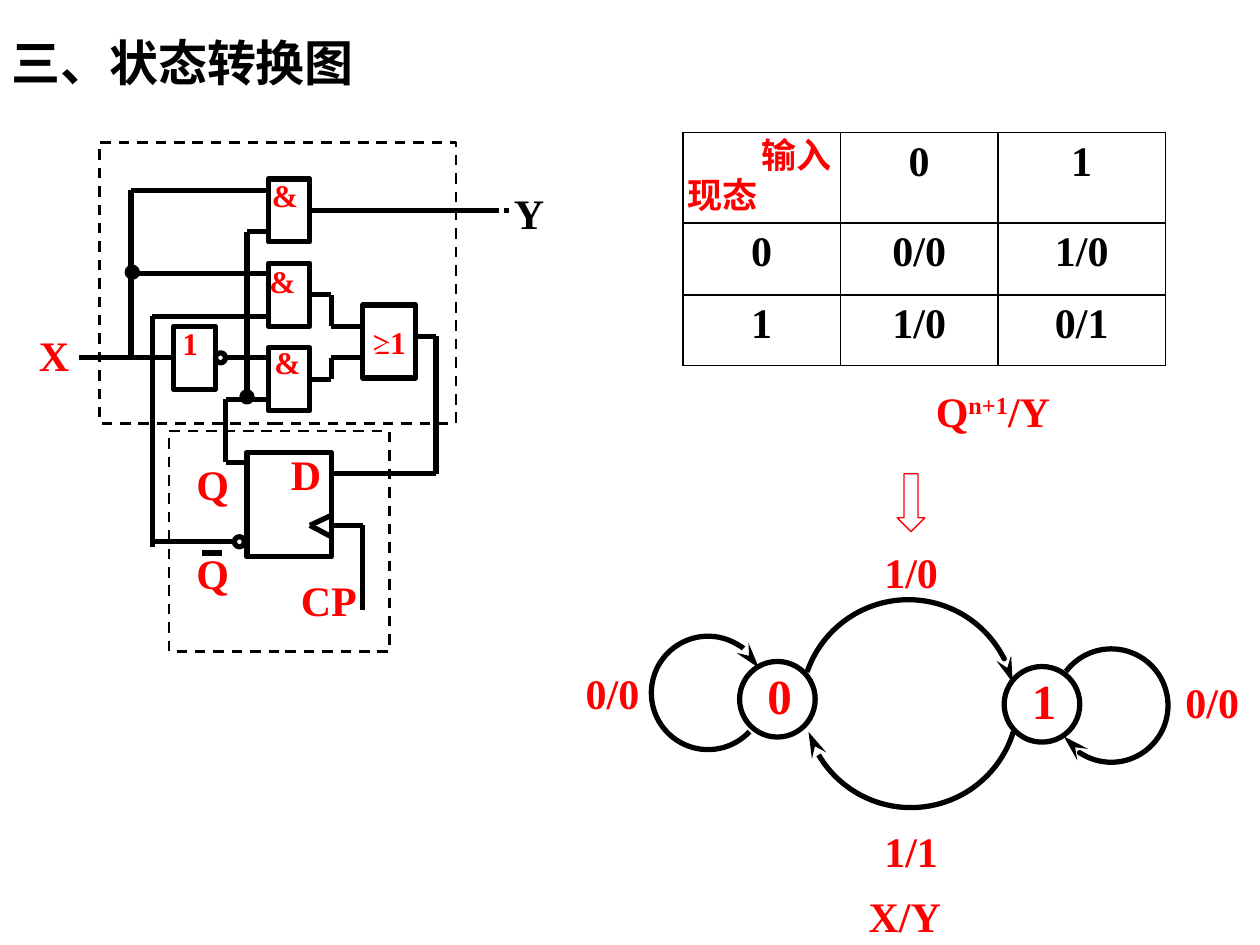
import pptx
import pptx.dml.color
import pptx.enum.dml
import pptx.enum.shapes
import pptx.enum.text
import pptx.oxml
import pptx.oxml.ns
import pptx.util
from pptx.util import Inches

RED, BLACK, WHITE = "FF0000", "000000", "FFFFFF"
SHAPE = pptx.enum.shapes.MSO_SHAPE
ALIGN = pptx.enum.text.PP_ALIGN
MIDDLE = pptx.enum.text.MSO_ANCHOR.MIDDLE
NS = pptx.oxml.ns.nsdecls("a")
rgb = pptx.dml.color.RGBColor.from_string


def draw(s, color=BLACK, width=3, fill=None):
    """Outline a shape, with a plain fill or none, and no shadow."""
    s.shadow.inherit = False
    s.line.color.rgb = rgb(color)
    s.line.width = pptx.util.Pt(width)
    if fill:
        s.fill.solid()
        s.fill.fore_color.rgb = rgb(fill)
    else:
        s.fill.background()
    return s


def write(tf, text, size=24, color=RED, align=ALIGN.LEFT, font="Times New Roman"):
    """Put one bold paragraph in a text frame."""
    tf.word_wrap = True
    p = tf.paragraphs[0]
    p.text = text
    p.alignment = align
    p.font.name = font
    p.font.size = pptx.util.Pt(size)
    p.font.bold = True
    p.font.color.rgb = rgb(color)
    return p


prs = pptx.Presentation()
prs.slide_width, prs.slide_height = Inches(10), Inches(7.5)
slide = prs.slides.add_slide(prs.slide_layouts[5])
shapes = slide.shapes

# Title
title = shapes.title
title.left, title.top, title.width, title.height = map(Inches, (-0.01, 0.2, 8.34, 0.58))
title.text_frame.vertical_anchor = MIDDLE
write(title.text_frame, "三、状态转换图", 28, BLACK, font="Noto Sans CJK SC")

# Dashed frames around the combinational and the storage part
for box in ((0.79, 1.13, 2.83, 2.23), (1.34, 3.42, 1.75, 1.75)):
    s = draw(shapes.add_shape(SHAPE.RECTANGLE, *map(Inches, box)), width=1.5)
    s.line.dash_style = pptx.enum.dml.MSO_LINE.DASH

# Gates and flip-flop
gates = {}
for name, box in {
    "and1": (2.13, 1.42, 0.33, 0.5),
    "and2": (2.13, 2.09, 0.33, 0.5),
    "and3": (2.13, 2.76, 0.33, 0.5),
    "not": (1.38, 2.59, 0.33, 0.5),
    "or": (2.88, 2.42, 0.42, 0.58),
    "flipflop": (1.96, 3.59, 0.67, 0.83),
}.items():
    gates[name] = draw(shapes.add_shape(SHAPE.RECTANGLE, *map(Inches, box)))
tf = gates["or"].text_frame
tf.margin_left = tf.margin_right = 0
tf.vertical_anchor = MIDDLE
write(tf, "≥1", 18, align=ALIGN.CENTER)

# Wires: x1, y1, x2, y2
wires = [
    # input X and its branches
    (0.63, 2.84, 1.38, 2.84), (1.04, 1.51, 1.04, 2.84),
    (1.04, 1.51, 2.13, 1.51), (1.04, 2.17, 2.13, 2.17),
    (1.79, 2.84, 2.13, 2.84),
    # feedback from Q
    (1.79, 3.67, 1.96, 3.67), (1.79, 3.17, 1.79, 3.67), (1.79, 3.17, 2.13, 3.17),
    (1.96, 1.84, 1.96, 3.17), (1.96, 1.84, 2.13, 1.84),
    # feedback from inverted Q, and its overbar
    (1.21, 4.3, 1.88, 4.3), (1.21, 2.51, 1.21, 4.34), (1.21, 2.51, 2.13, 2.51),
    (1.6, 4.39, 1.76, 4.39),
    # AND outputs
    (2.46, 1.67, 4.04, 1.67),
    (2.46, 2.34, 2.63, 2.34), (2.63, 2.34, 2.63, 2.59),
    (2.63, 2.59, 2.79, 2.59), (2.71, 2.59, 2.88, 2.59),
    (2.46, 3.01, 2.63, 3.01), (2.63, 2.84, 2.63, 3.01), (2.63, 2.84, 2.88, 2.84),
    # OR output to D
    (3.29, 2.67, 3.46, 2.67), (3.46, 2.67, 3.46, 3.76), (2.63, 3.76, 3.46, 3.76),
    # clock and its wedge
    (2.63, 4.17, 2.88, 4.17), (2.88, 4.17, 2.88, 4.84),
    (2.63, 4.09, 2.46, 4.17), (2.46, 4.17, 2.63, 4.26),
]
# White stroke across the OR sign
sign_stroke = (3.08, 2.73, 2.95, 2.81)
outputs = {(2.46, 1.67): "and1", (2.46, 2.34): "and2", (2.46, 3.01): "and3"}
for wire in wires + [sign_stroke]:
    c = shapes.add_connector(
        pptx.enum.shapes.MSO_CONNECTOR.STRAIGHT, *map(Inches, wire))
    c.line.color.rgb = rgb(WHITE if wire == sign_stroke else BLACK)
    c.line.width = pptx.util.Pt(1.5 if wire == sign_stroke else 3)
    c._element.spPr.append(pptx.oxml.parse_xml(f"<a:effectLst {NS}/>"))
    if wire[:2] in outputs:
        c.begin_connect(gates[outputs[wire[:2]]], 3)
    if wire[2:] == (1.38, 2.84):
        c.end_connect(gates["not"], 1)

# Inversion bubbles and junction dots
for x, y, fill in ((1.71, 2.8, WHITE), (1.86, 4.26, WHITE),
                   (1.92, 3.11, BLACK), (1.01, 2.12, BLACK)):
    draw(shapes.add_shape(SHAPE.OVAL, Inches(x), Inches(y), Inches(0.08), Inches(0.08)),
         fill=fill)

# Output label in a white-edged box
s = draw(shapes.add_shape(SHAPE.RECTANGLE, *map(Inches, (3.98, 1.44, 0.44, 0.5))), WHITE)
write(s.text_frame, "Y", color=BLACK)

# State table
rows = (("", "0", "1"), ("0", "0/0", "1/0"), ("1", "1/0", "0/1"))
frame = shapes.add_table(3, 3, *map(Inches, (5.42, 1.05, 3.83, 1.85)))
table = frame.table
table.first_row = table.horz_banding = False
for col, width in zip(table.columns, (1.25, 1.25, 1.33)):
    col.width = Inches(width)
for row, height, texts in zip(table.rows, (0.72, 0.57, 0.56), rows):
    row.height = Inches(height)
    for cell, text in zip(row.cells, texts):
        tcPr = cell._tc.get_or_add_tcPr()
        for side in "LRTB":
            tcPr.append(pptx.oxml.parse_xml(
                f'<a:ln{side} {NS} w="12700"><a:solidFill><a:srgbClr val="{BLACK}"/>'
                f"</a:solidFill></a:ln{side}>"))
        cell.fill.background()
        if text:
            write(cell.text_frame, text, 24, BLACK, ALIGN.CENTER)

# States
for x, y, text in ((5.87, 5.25, "0"), (7.97, 5.29, "1")):
    draw(shapes.add_shape(SHAPE.OVAL, Inches(x), Inches(y), Inches(0.6), Inches(0.6)))
    tb = shapes.add_textbox(Inches(x + 0.02), Inches(y - 0.02), Inches(0.75), Inches(0.57))
    tb.text_frame.margin_left = Inches(0.2)
    write(tb.text_frame, text, 28)

# Transitions: centre, radius, clockwise from start to end angle in degrees
for cx, cy, radius, start, end in (
    (5.62, 5.5, 0.45, 43, -26),
    (8.82, 5.6, 0.45, -143, 147),
    (7.21, 5.61, 0.85, -161, -13),
    (7.23, 5.56, 0.85, 17, 163),
):
    s = draw(shapes.add_shape(SHAPE.ARC, Inches(cx - radius), Inches(cy - radius),
                              Inches(2 * radius), Inches(2 * radius)))
    # adjustments count 60000 per degree, scaled by 100000
    s.adjustments[0], s.adjustments[1] = start % 360 * 0.6, end % 360 * 0.6
    s._element.spPr.find(pptx.oxml.ns.qn("a:ln")).append(
        pptx.oxml.parse_xml(f'<a:tailEnd {NS} type="stealth" w="med" len="lg"/>'))

# Arrow from the table to the diagram
draw(shapes.add_shape(SHAPE.DOWN_ARROW, *map(Inches, (7.12, 3.76, 0.22, 0.46))), RED, 0.75)

# Labels: text, left, top, width, height, size, alignment
for text, x, y, w, h, size, align in (
    ("X", 0.21, 2.57, 0.58, 0.5, 24, ALIGN.LEFT),
    ("CP", 2.29, 4.51, 0.7, 0.5, 24, ALIGN.LEFT),
    ("D", 2.21, 3.51, 0.44, 0.5, 24, ALIGN.LEFT),
    ("Q", 1.46, 3.59, 0.46, 0.5, 24, ALIGN.LEFT),
    ("Q", 1.46, 4.3, 0.46, 0.5, 24, ALIGN.LEFT),
    ("&", 2.06, 1.35, 0.6, 0.4, 18, ALIGN.LEFT),
    ("&", 2.04, 2.03, 0.6, 0.4, 18, ALIGN.LEFT),
    ("&", 2.08, 2.67, 0.6, 0.4, 18, ALIGN.LEFT),
    ("1", 1.35, 2.52, 0.6, 0.4, 18, ALIGN.LEFT),
    ("现态", 5.09, 1.33, 1.29, 0.43, 20, ALIGN.CENTER),
    ("输入", 5.88, 1.01, 0.88, 0.43, 20, ALIGN.CENTER),
    ("Q", 7.12, 3.01, 1.52, 0.5, 24, ALIGN.CENTER),
    ("1/0", 6.92, 4.29, 1.02, 0.5, 24, ALIGN.LEFT),
    ("0/0", 4.55, 5.25, 1.02, 0.5, 24, ALIGN.LEFT),
    ("0/0", 9.31, 5.32, 1.02, 0.5, 24, ALIGN.LEFT),
    ("1/1", 6.92, 6.5, 1.02, 0.5, 24, ALIGN.LEFT),
    ("X/Y", 6.42, 7.02, 1.52, 0.5, 24, ALIGN.CENTER),
):
    tb = shapes.add_textbox(*map(Inches, (x, y, w, h)))
    p = write(tb.text_frame, text, size, align=align)
    if (x, y) == (7.12, 3.01):  # next state over output
        r = p.add_run()
        r.text = "n+1"
        r._r.get_or_add_rPr().set("baseline", "30000")
        p.add_run().text = "/Y"

prs.save("out.pptx")
